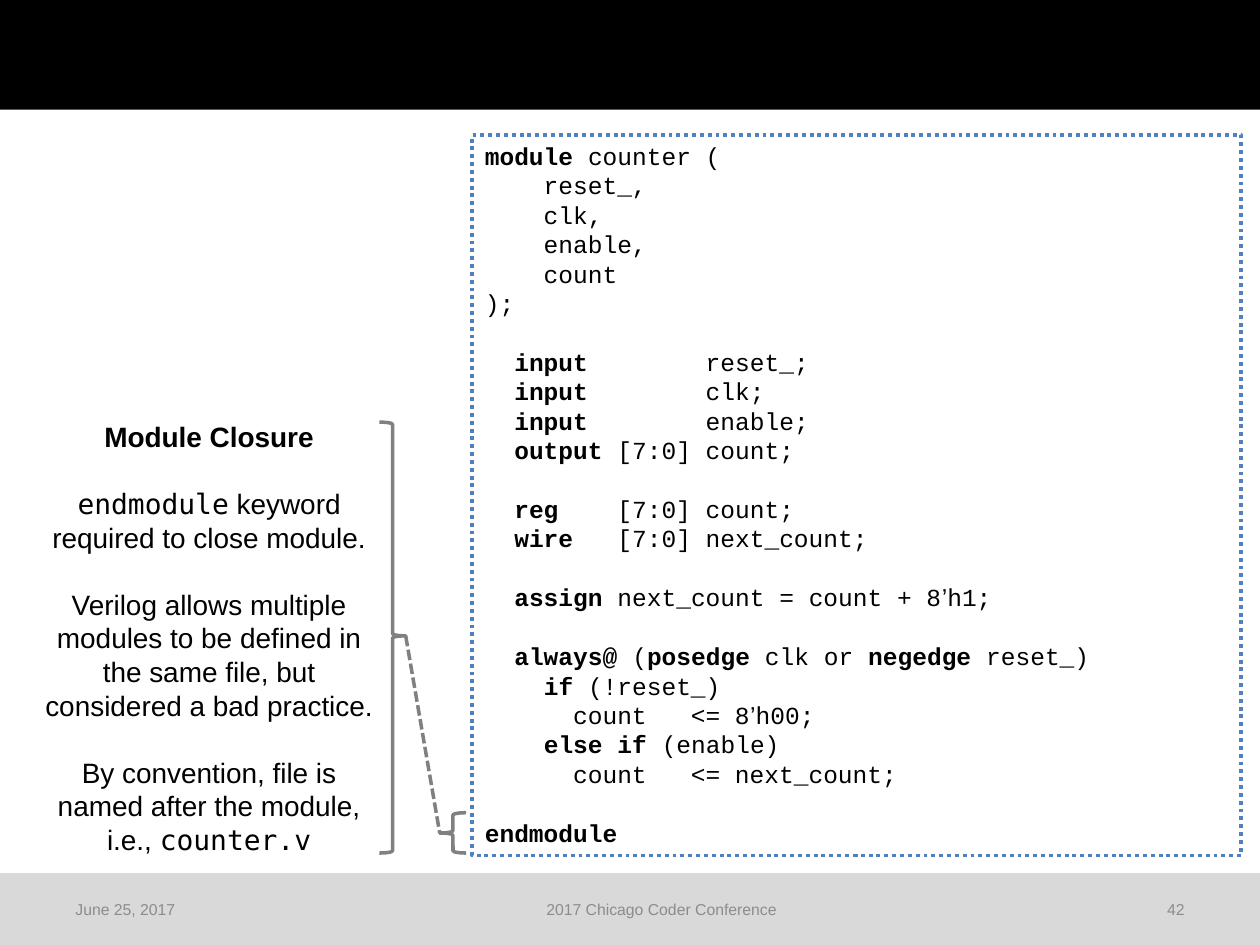
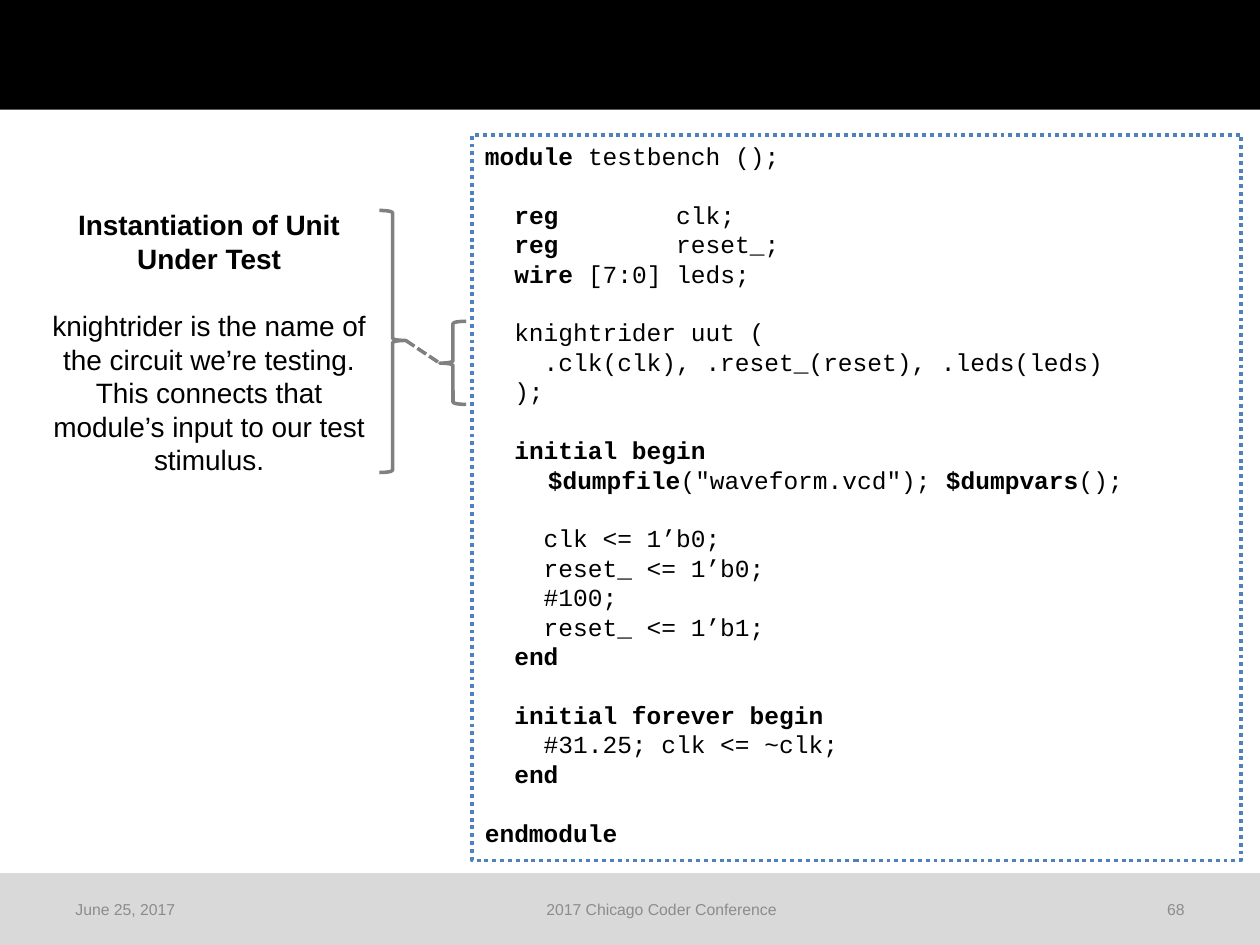
from pptx import Presentation
from pptx.dml.color import RGBColor
from pptx.enum.dml import MSO_LINE
from pptx.enum.shapes import MSO_CONNECTOR, MSO_SHAPE
from pptx.enum.text import MSO_ANCHOR, PP_ALIGN
from pptx.oxml.ns import qn
from pptx.util import Inches, Pt
from lxml import etree

RECT, BRACE = MSO_SHAPE.RECTANGLE, MSO_SHAPE.LEFT_BRACE
LEFT, CENTER, RIGHT = PP_ALIGN.LEFT, PP_ALIGN.CENTER, PP_ALIGN.RIGHT
TOP, MIDDLE = MSO_ANCHOR.TOP, MSO_ANCHOR.MIDDLE
DOTS, DASHES = MSO_LINE.ROUND_DOT, MSO_LINE.SQUARE_DOT

COLORS = {"head": "000000", "foot": "D9D9D9", "small": "8C8C8C",
          "text": "000000", "frame": "4F81BD", "brace": "808080"}
SANS, CODE, MONO = "Arial", "Courier New", "DejaVu Sans Mono"

# In the texts, * switches bold on and off, and ` switches to the second font.
COUNTER = """*module* counter (
    reset_,
    clk,
    enable,
    count
);

  *input*        reset_;
  *input*        clk;
  *input*        enable;
  *output* [7:0] count;

  *reg*    [7:0] count;
  *wire*   [7:0] next_count;

  *assign* next_count = count + 8`’`h1;

  *always@* (*posedge* clk or *negedge* reset_)
    *if* (!reset_)
      count   <= 8`’`h00;
    *else if* (enable)
      count   <= next_count;

*endmodule*"""

BENCH = """*module* testbench ();

  *reg*        clk;
  *reg*        reset_;
  *wire* [7:0] leds;

  knightrider uut (
    .clk(clk), .reset_(reset), .leds(leds)
  );

  *initial begin*
\t*$dumpfile*("waveform.vcd"); *$dumpvars*();

    clk <= 1’b0;
    reset_ <= 1’b0;
    #100;
    reset_ <= 1’b1;
  *end*

  *initial forever begin*
    #31.25; clk <= ~clk;
  *end*

*endmodule*"""

CLOSURE = """*Module Closure*

`endmodule` keyword required to close module.

Verilog allows multiple modules to be defined in the same file, but considered a bad practice.

By convention, file is named after the module, i.e., `counter.v`"""

UNIT = """*Instantiation of Unit Under Test*

knightrider is the name of the circuit we’re testing. This connects that module’s input to our test stimulus."""

# top and height of the note and of the brace beside the code
SLIDES = [
    {"page": "42", "code": COUNTER, "frame": 5.72, "note": CLOSURE,
     "at": (3.28, 3.6), "mark": (6.45, 0.32)},
    {"page": "68", "code": BENCH, "frame": 5.76, "note": UNIT,
     "at": (1.6, 2.26), "mark": (2.55, 0.66)},
]
DATE, EVENT = "June 25, 2017", "2017 Chicago Coder Conference"

CODE_X, CODE_Y, CODE_W = 3.75, 1.07, 6.1
NOTE_X, NOTE_W = 0.21, 2.9
NEAR_X, FAR_X, BRACE_W = 3.01, 3.49, 0.21
BEND, TIP = 0.083, 0.504
TAB = 0.5


def color(name):
    return RGBColor.from_string(COLORS[name])


def stroke(line, name, width, dash=None):
    line.color.rgb = color(name)
    line.width = Pt(width)
    if dash:
        line.dash_style = dash


def add_box(slide, kind, box, fill=None):
    shape = slide.shapes.add_shape(kind, *map(Inches, box))
    shape.shadow.inherit = False
    if fill:
        shape.fill.solid()
        shape.fill.fore_color.rgb = color(fill)
        shape.line.fill.background()
    else:
        shape.fill.background()
    return shape


def add_runs(para, text, other):
    """Split marked text into bold, plain and second-font runs."""
    bold = False
    for i, part in enumerate(text.split("*")):
        bold = i % 2 == 1
        for j, piece in enumerate(part.split("`")):
            if piece:
                run = para.add_run()
                run.text = piece
                if bold:
                    run.font.bold = True
                if j % 2:
                    run.font.name = other


def write(shape, text, size, font, tone="text", align=LEFT, anchor=TOP,
          other=None, gap=0):
    """Fill a shape with lines; an empty line becomes space before the next."""
    frame = shape.text_frame
    frame.word_wrap = True
    frame.vertical_anchor = anchor
    para, space = None, 0
    for row in text.split("\n"):
        if not row:
            space = gap
            continue
        para = frame.add_paragraph() if para else frame.paragraphs[0]
        para.alignment = align
        if space:
            para.space_before = Pt(space)
        if "\t" in row:
            tabs = etree.SubElement(para._p.get_or_add_pPr(), qn("a:tabLst"))
            etree.SubElement(tabs, qn("a:tab"), pos=str(Inches(TAB)), algn="l")
        add_runs(para, row, other)
        para.font.size = Pt(size)
        para.font.name = font
        para.font.color.rgb = color(tone)
        space = 0


def add_text(slide, box, *args, **style):
    write(slide.shapes.add_textbox(*map(Inches, box)), *args, **style)


def add_brace(slide, x, y, high, turn=0):
    brace = add_box(slide, BRACE, (x, y, BRACE_W, high))
    brace.adjustments[0], brace.adjustments[1] = BEND, TIP
    brace.rotation = turn
    stroke(brace.line, "brace", 2)


def add_base(slide, page):
    add_box(slide, RECT, (0, 6.93, 10, 0.57), "foot")
    add_box(slide, RECT, (0, 0, 10, 0.87), "head")
    for x, wide, text, align in ((0.5, 1.22, DATE, LEFT),
                                 (1.72, 7.06, EVENT, CENTER),
                                 (8.78, 0.72, page, RIGHT)):
        add_text(slide, (x, 7.02, wide, 0.4), text, 9, SANS, "small",
                 align, MIDDLE)


def add_link(slide, start, end):
    points = map(Inches, start + end)
    link = slide.shapes.add_connector(MSO_CONNECTOR.STRAIGHT, *points)
    stroke(link.line, "brace", 2, DASHES)
    etree.SubElement(link._element.spPr, qn("a:effectLst"))


def build(slide, data):
    add_base(slide, data["page"])
    frame = add_box(slide, RECT, (CODE_X, CODE_Y, CODE_W, data["frame"]))
    stroke(frame.line, "frame", 2.25, DOTS)
    write(frame, data["code"], 14, CODE, other=SANS, gap=16.8)

    top, high = data["at"]
    add_text(slide, (NOTE_X, top, NOTE_W, high), data["note"], 16, SANS,
             align=CENTER, other=MONO, gap=19.2)

    near, tall = top + 0.07, high - 0.18
    far, low = data["mark"]
    add_brace(slide, NEAR_X, near, tall, 180)
    add_brace(slide, FAR_X, far, low)
    add_link(slide, (NEAR_X + BRACE_W, near + tall * (1 - TIP)),
             (FAR_X, far + low * TIP))


def main():
    deck = Presentation()
    deck.slide_width, deck.slide_height = Inches(10), Inches(7.5)
    for data in SLIDES:
        build(deck.slides.add_slide(deck.slide_layouts[6]), data)
    deck.save("out.pptx")


if __name__ == "__main__":
    main()
